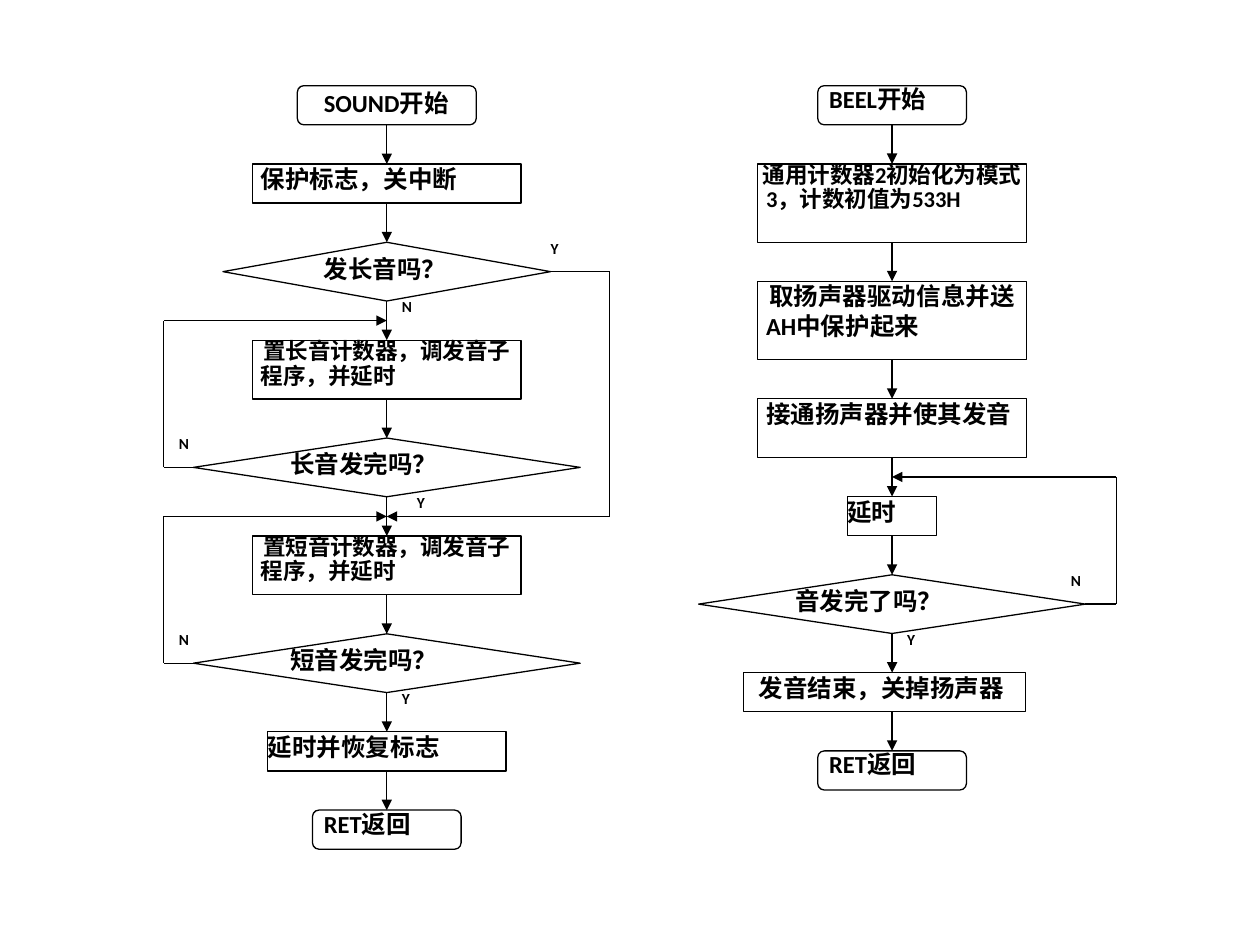
from collections import namedtuple
from itertools import pairwise

from lxml import etree
from pptx import Presentation
from pptx import util as u
from pptx.dml.color import RGBColor
from pptx.enum import shapes as sh, text as tx
from pptx.oxml import ns

Box = namedtuple("Box", "left top width height")
Node = namedtuple("Node", "kind words width rows style shift", defaults=(0,))
Loop = namedtuple("Loop", "start side goal")  # goal: node whose top gap it enters
Label = namedtuple("Label", "words node shift below")  # shift: from the axis


class Theme:
    ink = RGBColor(0, 0, 0)
    paper = RGBColor(255, 255, 255)
    line = u.Pt(0.75)
    font = dict(name="Calibri", bold=True)
    # style: (type size, line spacing)
    styles = dict(wide=(14, None), snug=(14, 0.9), small=(12.9, 0.9),
                  label=(8.8, 0.8))


ROUND = sh.MSO_SHAPE.FLOWCHART_ALTERNATE_PROCESS
STEP = sh.MSO_SHAPE.FLOWCHART_PROCESS
TEST = sh.MSO_SHAPE.FLOWCHART_DECISION
LEFT, RIGHT = 1, 3
TOP, BOTTOM = 0, 2


def assign(item, values):
    for key, value in values.items():
        setattr(item, key, value)


def add_tabs(para):
    """Left tab stops at every inch from 0 to 7."""
    tabs = etree.SubElement(para._p.get_or_add_pPr(), ns.qn("a:tabLst"))
    for inch in range(8):
        etree.SubElement(tabs, ns.qn("a:tab"), pos=str(u.Inches(inch)), algn="l")


def add_part(group, kind, box, words, style, edge=Theme.ink):
    part = group.shapes.add_shape(kind, *map(u.Inches, box))
    part.shadow.inherit = False
    part.fill.background()
    part.line.color.rgb = edge
    part.line.width = Theme.line
    frame = part.text_frame
    assign(frame, dict(margin_left=0, margin_top=0, margin_right=0,
                       margin_bottom=0, word_wrap=True,
                       vertical_anchor=tx.MSO_ANCHOR.TOP))
    size, gap = Theme.styles[style]
    para = frame.paragraphs[0]
    add_tabs(para)
    assign(para, dict(alignment=tx.PP_ALIGN.CENTER, line_spacing=gap))
    run = para.add_run()
    run.text = words + "\t"
    assign(run.font, Theme.font | dict(size=u.Pt(size)))
    run.font.color.rgb = Theme.ink
    return part


def add_line(group, start, end, arrow=False):
    line = group.shapes.add_connector(
        sh.MSO_CONNECTOR.STRAIGHT, *map(u.Inches, start + end))
    line.line.color.rgb = Theme.ink
    line.line.width = Theme.line
    if arrow:
        etree.SubElement(line.line._get_or_add_ln(), ns.qn("a:tailEnd"),
                         type="triangle")
    etree.SubElement(line._element.spPr, ns.qn("a:effectLst"))
    return line


def add_flow(slide, box, axis, nodes, loops, labels):
    """A column of nodes one row apart, on an axis measured from the box's left."""
    group = slide.shapes.add_group_shape()
    mid = box.left + axis
    row = box.height / (sum(n.rows for n in nodes) + len(nodes) - 1)

    spots, parts, top = [], [], box.top
    for node in nodes:
        spot = Box(mid + node.shift - node.width / 2, top,
                   node.width, node.rows * row)
        spots.append(spot)
        parts.append(add_part(group, node.kind, spot, node.words, node.style))
        top += spot.height + row

    for label in labels:
        spot = spots[label.node]
        y = spot.top + spot.height * label.below
        add_part(group, STEP, Box(mid + label.shift, y, 0.24, 0.16),
                 label.words, "label", Theme.paper)

    for i, j in pairwise(range(len(nodes))):
        line = add_line(group, (mid, spots[j].top - row), (mid, spots[j].top), True)
        if not nodes[i].shift:
            line.begin_connect(parts[i], BOTTOM)
        if not nodes[j].shift:
            line.end_connect(parts[j], TOP)

    for loop in loops:
        spot = spots[loop.start]
        right = loop.side == RIGHT
        near = spot.left + spot.width * right
        far = box.left + box.width * right
        y, goal = spot.top + spot.height / 2, spots[loop.goal].top - row / 2
        stub = add_line(group, (near, y), (far, y))
        stub.begin_connect(parts[loop.start], loop.side)
        add_line(group, (far, y), (far, goal))
        add_line(group, (far, goal), (mid, goal), True)


SOUND = dict(
    box=Box(1.3, 0.68, 3.54, 6.06), axis=1.77,
    nodes=[
        Node(ROUND, "SOUND开始", 1.42, 1, "wide"),
        Node(STEP, "保护标志，关中断", 2.13, 1, "wide"),
        Node(TEST, "发长音吗？", 2.6, 1.5, "snug"),
        Node(STEP, "置长音计数器，调发音子程序，并延时", 2.13, 1.5, "small"),
        Node(TEST, "长音发完吗？", 3.07, 1.5, "snug"),
        Node(STEP, "置短音计数器，调发音子程序，并延时", 2.13, 1.5, "small"),
        Node(TEST, "短音发完吗？", 3.07, 1.5, "snug"),
        Node(STEP, "延时并恢复标志", 1.89, 1, "wide"),
        Node(ROUND, "RET返回", 1.18, 1, "snug"),
    ],
    loops=[Loop(6, LEFT, 5), Loop(4, LEFT, 3), Loop(2, RIGHT, 5)],
    labels=[
        Label("Y", 6, 0.12, True), Label("Y", 4, 0.24, True),
        Label("Y", 2, 1.3, False), Label("N", 2, 0.12, True),
        Label("N", 4, -1.65, False), Label("N", 6, -1.65, False),
    ])

BEEL = dict(
    box=Box(5.55, 0.68, 3.31, 5.59), axis=1.53,
    nodes=[
        Node(ROUND, "BEEL开始", 1.18, 1, "snug"),
        Node(STEP, "通用计数器2初始化为模式3，计数初值为533H", 2.13, 2, "small"),
        Node(STEP, "取扬声器驱动信息并送AH中保护起来", 2.13, 2, "wide"),
        Node(STEP, "接通扬声器并使其发音", 2.13, 1.5, "wide"),
        Node(STEP, "延时", 0.71, 1, "wide"),
        Node(TEST, "音发完了吗？", 3.07, 1.5, "snug"),
        Node(STEP, "发音结束，关掉扬声器", 2.24, 1, "wide", -0.06),
        Node(ROUND, "RET返回", 1.18, 1, "snug"),
    ],
    loops=[Loop(5, RIGHT, 4)],
    labels=[Label("Y", 5, 0.12, True), Label("N", 5, 1.42, False)])


def main():
    deck = Presentation()
    assign(deck, dict(slide_width=u.Inches(10), slide_height=u.Inches(7.5)))
    slide = deck.slides.add_slide(deck.slide_layouts[6])
    for flow in (SOUND, BEEL):
        add_flow(slide, **flow)
    deck.save("out.pptx")


if __name__ == "__main__":
    main()
